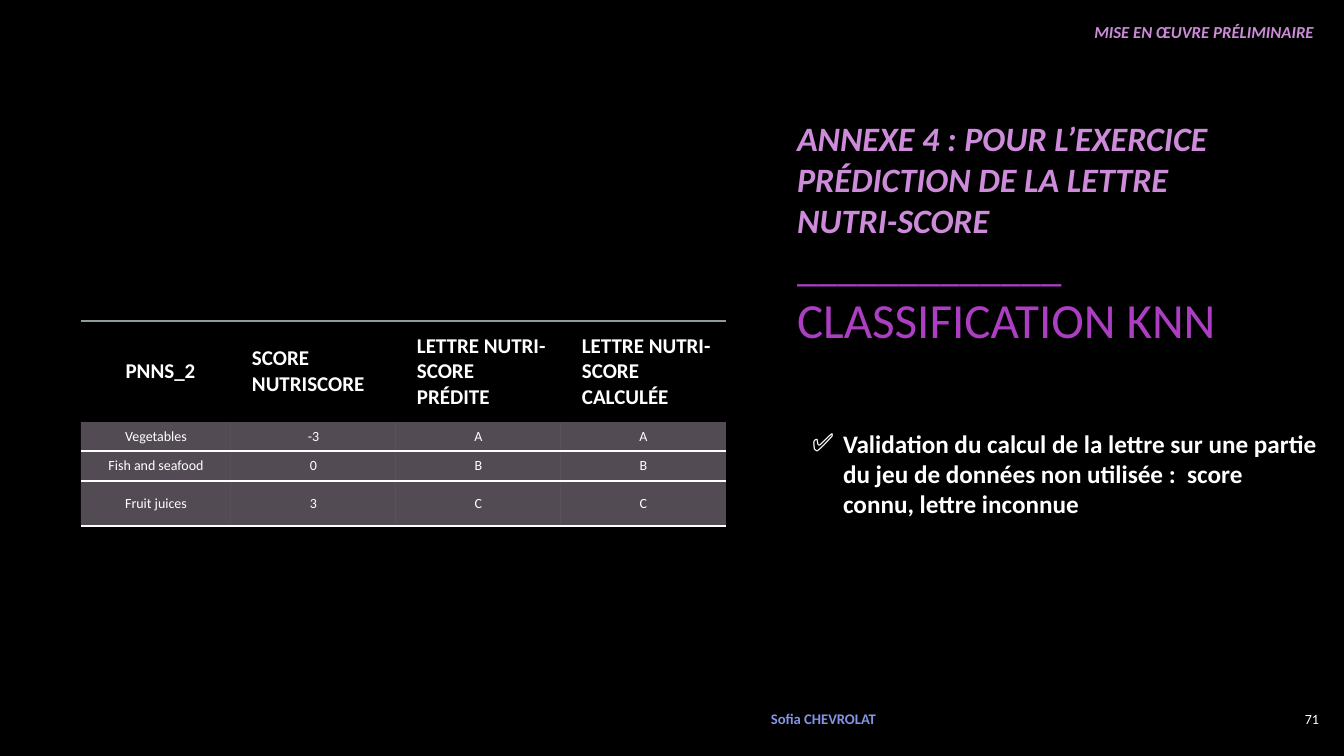
import dataclasses

import lxml.etree
import pptx
import pptx.dml.color
import pptx.enum.text
import pptx.oxml.ns
import pptx.util

PX = 12192000 / 1344
ALIGN = pptx.enum.text.PP_ALIGN
MIDDLE = pptx.enum.text.MSO_ANCHOR.MIDDLE
TOP = pptx.enum.text.MSO_ANCHOR.TOP
NO_GRID_STYLE = "{2D5ABB26-0587-4C30-8999-92F81FD0307C}"


@dataclasses.dataclass(frozen=True)
class Theme:
    font: str = "Calibri"
    background: str = "000000"
    text: str = "FFFFFF"
    lilac: str = "CD8BDA"
    purple: str = "AC3EC1"
    author: str = "8394E4"
    row_fill: str = "EED8F3"
    row_opacity: int = 35
    header_line: str = "8F9A9D"
    header_opacity: int = 60
    line_width: float = 1.5
    section_size: float = 12
    annex_size: float = 24.4
    rule_size: float = 29.2
    topic_size: float = 35.1
    bullet_size: float = 18
    header_size: float = 15
    cell_size: float = 10
    page_size: float = 10
    author_size: float = 10.5


THEME = Theme()


def px(length):
    return pptx.util.Emu(round(length * PX))


def rgb(colour):
    return pptx.dml.color.RGBColor.from_string(colour)


def sub(parent, tag, **attributes):
    return lxml.etree.SubElement(parent, pptx.oxml.ns.qn(tag), attributes)


def add_run(paragraph, text, size, colour, bold=False, italic=False):
    run = paragraph.add_run()
    run.text = text
    run.font.name = THEME.font
    run.font.size = pptx.util.Pt(size)
    run.font.bold = bold
    run.font.italic = italic
    run.font.color.rgb = rgb(colour)


def add_break(paragraph, size):
    paragraph.add_line_break()
    sub(paragraph._p[-1], "a:rPr", sz=str(round(size * 100)))


def place(shape, box):
    shape.left, shape.top, shape.width, shape.height = map(px, box)


def prepare_frame(shape, anchor):
    frame = shape.text_frame
    frame.word_wrap = True
    frame.auto_size = pptx.enum.text.MSO_AUTO_SIZE.NONE
    frame.vertical_anchor = anchor
    return frame


def add_label(slide, box, text, size, colour, align, anchor=MIDDLE, bold=False, italic=False):
    label = slide.shapes.add_textbox(*map(px, box))
    paragraph = prepare_frame(label, anchor).paragraphs[0]
    paragraph.alignment = align
    add_run(paragraph, text, size, colour, bold, italic)


def fill_title(slide, box):
    title = slide.shapes.title
    place(title, box)
    frame = prepare_frame(title, MIDDLE)
    annex = frame.paragraphs[0]
    topic = frame.add_paragraph()
    for paragraph in (annex, topic):
        paragraph.alignment = ALIGN.LEFT
        paragraph.space_before = pptx.util.Pt(0)
    heading = (THEME.annex_size, THEME.lilac, True, True)
    add_run(annex, "ANNEXE 4 : POUR L’EXERCICE PRÉDICTION DE LA LETTRE", *heading)
    add_run(topic, "NUTRI-SCORE", *heading)
    add_break(topic, THEME.annex_size)
    add_run(topic, "_____________", THEME.rule_size, THEME.purple)
    add_break(topic, THEME.rule_size)
    add_run(topic, "CLASSIFICATION KNN", THEME.topic_size, THEME.purple)


def fill_validation(slide, box):
    validation = slide.placeholders[1]
    place(validation, box)
    paragraph = prepare_frame(validation, TOP).paragraphs[0]
    properties = paragraph._p.get_or_add_pPr()
    properties.set("marL", str(px(31)))
    properties.set("indent", str(px(-31)))
    sub(properties, "a:buChar", char="✅")
    paragraph.space_before = pptx.util.Pt(0)
    add_run(
        paragraph,
        "Validation du calcul de la lettre sur une partie du jeu de données "
        "non utilisée :  score connu, lettre inconnue",
        THEME.bullet_size, THEME.text, bold=True,
    )


def add_border(cell, tag, colour, opacity=100):
    width = str(pptx.util.Pt(THEME.line_width))
    line = sub(cell._tc.get_or_add_tcPr(), tag, w=width)
    ink = sub(sub(line, "a:solidFill"), "a:srgbClr", val=colour)
    sub(ink, "a:alpha", val=str(opacity * 1000))


def write_cell(cell, text, size, align, margins, bold):
    cell.margin_left, cell.margin_top, cell.margin_right, cell.margin_bottom = map(px, margins)
    cell.vertical_anchor = MIDDLE
    paragraph = cell.text_frame.paragraphs[0]
    paragraph.alignment = align
    add_run(paragraph, text, size, THEME.text, bold)


def format_header_cell(cell, text, align):
    add_border(cell, "a:lnT", THEME.header_line, THEME.header_opacity)
    cell.fill.background()
    write_cell(cell, text, THEME.header_size, align, (21, 12, 12, 12), True)


def format_score_cell(cell, text):
    add_border(cell, "a:lnB", THEME.text)
    cell.fill.solid()
    cell.fill.fore_color.rgb = rgb(THEME.row_fill)
    fill = cell._tc.tcPr.find(pptx.oxml.ns.qn("a:solidFill"))
    sub(fill[0], "a:alpha", val=str(THEME.row_opacity * 1000))
    write_cell(cell, text, THEME.cell_size, ALIGN.CENTER, (8, 4, 8, 4), False)


def add_scores(slide, box):
    headers = ("PNNS_2", "SCORE NUTRISCORE", "LETTRE NUTRI-SCORE PRÉDITE", "LETTRE NUTRI-SCORE CALCULÉE")
    scores = (
        ("Vegetables", "-3", "A", "A"),
        ("Fish and seafood", "0", "B", "B"),
        ("Fruit juices", "3", "C", "C"),
    )
    frame = slide.shapes.add_table(len(scores) + 1, len(headers), *map(px, box))
    table = frame.table
    table.horz_banding = False
    table._tbl.tblPr.find(pptx.oxml.ns.qn("a:tableStyleId")).text = NO_GRID_STYLE
    for column, width in zip(table.columns, (150, 165, 165, 165)):
        column.width = px(width)
    for row, height in zip(table.rows, (100, 29, 30, 45)):
        row.height = px(height)
    for column, header in enumerate(headers):
        align = ALIGN.LEFT if column else ALIGN.CENTER
        format_header_cell(table.cell(0, column), header, align)
    for row, values in enumerate(scores, 1):
        for column, value in enumerate(values):
            format_score_cell(table.cell(row, column), value)


def add_footer(slide, box):
    left, top, width, height = box
    add_label(slide, (left, top, 177, height), "Sofia CHEVROLAT",
              THEME.author_size, THEME.author, ALIGN.LEFT, bold=True)
    add_label(slide, (left + width - 60, top, 60, height), "71",
              THEME.page_size, THEME.text, ALIGN.RIGHT)


def main():
    deck = pptx.Presentation()
    deck.slide_width, deck.slide_height = px(1344), px(756)
    slide = deck.slides.add_slide(deck.slide_layouts[1])
    slide.background.fill.solid()
    slide.background.fill.fore_color.rgb = rgb(THEME.background)
    add_label(slide, (773, 17, 551, 30), "MISE EN ŒUVRE PRÉLIMINAIRE",
              THEME.section_size, THEME.lilac, ALIGN.RIGHT, TOP, bold=True, italic=True)
    add_footer(slide, (761, 698, 568, 41))
    fill_validation(slide, (802, 423, 527, 102))
    add_scores(slide, (81, 321, 645, 204))
    fill_title(slide, (787, 70, 503, 326))
    deck.save("out.pptx")


if __name__ == "__main__":
    main()
